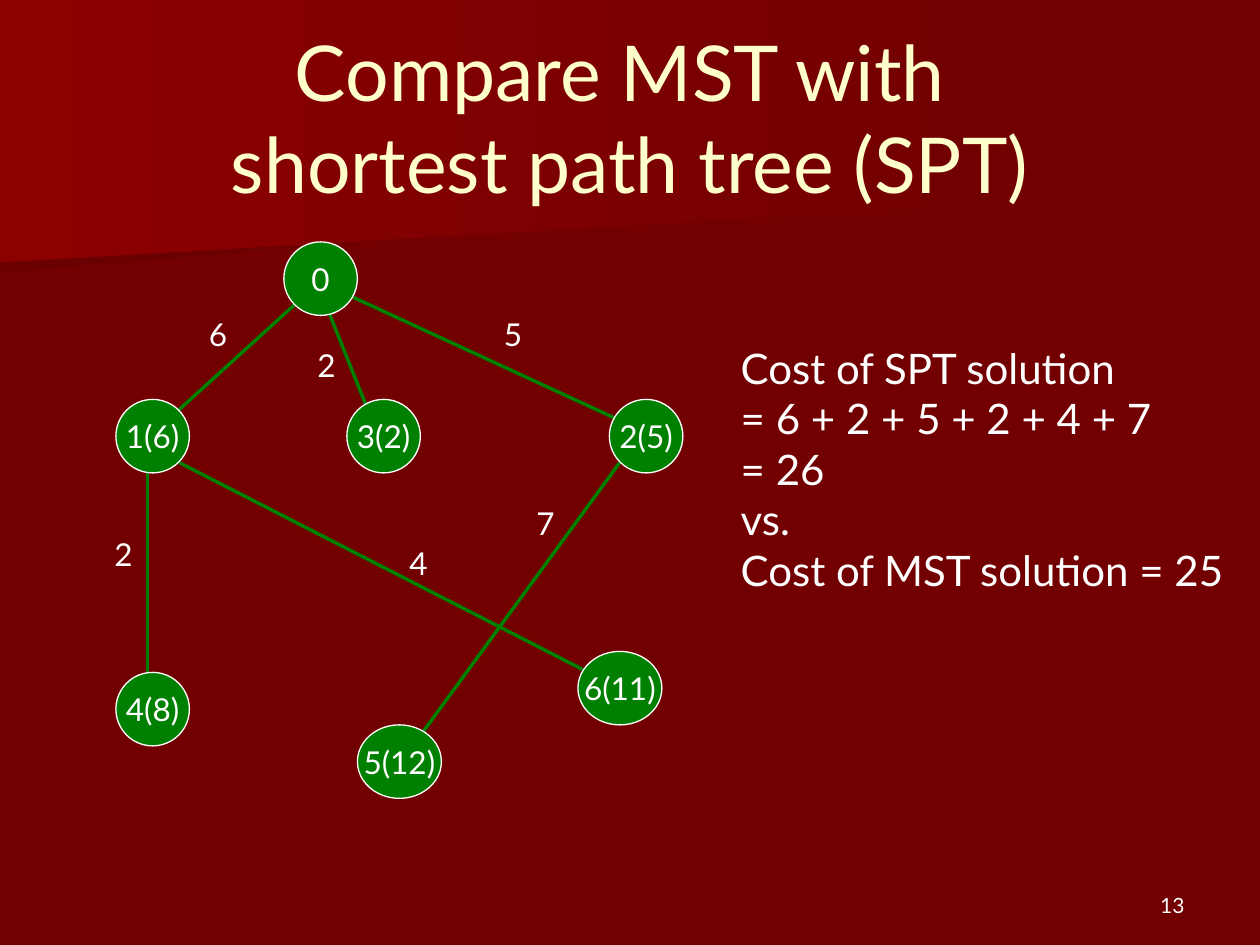
from dataclasses import dataclass
from typing import NamedTuple

from lxml.etree import SubElement
from pptx import Presentation
from pptx.dml.color import RGBColor
from pptx.enum.shapes import MSO_CONNECTOR as Connector, MSO_SHAPE as Shape
from pptx.enum.text import MSO_ANCHOR as Anchor, MSO_AUTO_SIZE as AutoSize, PP_ALIGN as Align
from pptx.oxml.ns import qn
from pptx.util import Inches, Pt


@dataclass(frozen=True)
class Theme:
    """Colours, font and type sizes of the deck."""
    ground: str = "720000"
    glow: str = "8C0000"
    shade: str = "6A0000"
    heading: str = "FFFFCC"
    ink: str = "FFFFFF"
    green: str = "008000"
    font: str = "Lato"
    title: int = 44
    body: int = 24
    label: int = 18
    number: int = 12


class Box(NamedTuple):
    """A region in inches."""
    left: float
    top: float
    width: float
    height: float

    def lengths(self):
        """Return the four sides as lengths."""
        return [Inches(side) for side in self]


class Edge(NamedTuple):
    """A tree edge in grid steps, with its cost and label corner in inches."""
    start: tuple
    end: tuple
    cost: str
    label: tuple


THEME = Theme()
GRID = 1 / 12
NODE_HEIGHT = 7
NODES = [
    ("0", 16, 0, 7), ("1(6)", 0, 15, 7), ("3(2)", 22, 15, 7), ("2(5)", 47, 15, 7),
    ("4(8)", 0, 41, 7), ("5(12)", 23, 46, 8), ("6(11)", 44, 39, 8),
]
EDGES = [
    Edge((17, 6), (6, 16), "6", (0.64, 0.53)),
    Edge((20, 6), (24, 16), "2", (1.5, 0.78)),
    Edge((22, 5), (48, 17), "5", (2.98, 0.53)),
    Edge((3, 22), (3, 41), "2", (-0.11, 2.28)),
    Edge((6, 21), (45, 41), "4", (2.23, 2.35)),
    Edge((48, 21), (29, 47), "7", (3.24, 2.03)),
]
COSTS = [
    ["Cost of SPT solution", "= 6 + 2 + 5 + 2 + 4 + 7"],
    ["= 26"], ["vs."], ["Cost of MST solution = 25"],
]


def rgb(code):
    """Turn a hex code into a colour."""
    return RGBColor.from_string(code)


def write(frame, paragraphs, size, color=THEME.ink, align=Align.LEFT):
    """Fill a frame with paragraphs, each a list of lines."""
    for index, lines in enumerate(paragraphs):
        para = frame.add_paragraph() if index else frame.paragraphs[0]
        para.alignment = align
        for row, line in enumerate(lines):
            if row:
                para.add_line_break()
            span = para.add_run()
            span.text = line
            span.font.name = THEME.font
            span.font.size = Pt(size)
            span.font.color.rgb = rgb(color)


def add_note(page, box, paragraphs, size):
    """Place an unwrapped text box that fits its text."""
    frame = page.shapes.add_textbox(*box.lengths()).text_frame
    frame.word_wrap = False
    frame.auto_size = AutoSize.SHAPE_TO_FIT_TEXT
    write(frame, paragraphs, size)


def add_band(page, box, corners, far_color):
    """Draw a background band that fades towards the left."""
    points = [(Inches(box.left + x), Inches(box.top + y)) for x, y in corners]
    builder = page.shapes.build_freeform(*points[0])
    builder.add_line_segments(points[1:], close=True)
    band = builder.convert_to_shape()
    band.shadow.inherit = False
    band.line.fill.background()
    band.fill.gradient()
    band.fill.gradient_angle = 180
    for stop, color in zip(band.fill.gradient_stops, (THEME.ground, far_color)):
        stop.color.rgb = rgb(color)


def add_background(page):
    """Colour the page and draw its two bands."""
    page.background.fill.solid()
    page.background.fill.fore_color.rgb = rgb(THEME.ground)
    lower = Box(0, 1.01, 7.79, 1.15)
    add_band(page, lower, [(0, 0), (lower.width, 0), (7.78, 0.52), (0, lower.height)], THEME.shade)
    upper = Box(0, 0, 7.92, 2.08)
    add_band(page, upper, [(0, 0), (upper.width, 0), (upper.width, 1.62), (0, upper.height)], THEME.glow)


def add_title(page, box, lines):
    """Format the title placeholder and bring it in front of the bands."""
    title = page.shapes.title
    title.left, title.top, title.width, title.height = box.lengths()
    title.element.getparent().append(title.element)
    frame = title.text_frame
    frame.auto_size = AutoSize.NONE
    frame.vertical_anchor = Anchor.MIDDLE
    write(frame, [lines], THEME.title, THEME.heading, Align.CENTER)


def add_edge(page, box, edge):
    """Draw one edge and its cost."""
    ends = [Inches(origin + step * GRID)
            for point in (edge.start, edge.end)
            for origin, step in zip((box.left, box.top), point)]
    line = page.shapes.add_connector(Connector.STRAIGHT, *ends)
    line.line.color.rgb = rgb(THEME.green)
    line.line.width = Pt(2)
    SubElement(line.element.spPr, qn("a:effectLst"))
    x, y = edge.label
    add_note(page, Box(box.left + x, box.top + y, 0.34, 0.4), [[edge.cost]], THEME.label)


def add_node(page, box, name):
    """Draw one named node."""
    node = page.shapes.add_shape(Shape.OVAL, *box.lengths())
    node.shadow.inherit = False
    node.fill.solid()
    node.fill.fore_color.rgb = rgb(THEME.green)
    node.line.color.rgb = rgb(THEME.ink)
    node.line.width = Pt(0.75)
    frame = node.text_frame
    frame.word_wrap = False
    frame.vertical_anchor = Anchor.MIDDLE
    write(frame, [[name]], THEME.label, align=Align.CENTER)


def add_tree(page, box):
    """Draw the shortest path tree on its grid."""
    for edge in EDGES:
        add_edge(page, box, edge)
    for name, column, row, width in NODES:
        place = Box(box.left + column * GRID, box.top + row * GRID, width * GRID, NODE_HEIGHT * GRID)
        add_node(page, place, name)


def add_number(page, box, number):
    """Place the page number in the lower right corner."""
    frame = page.shapes.add_textbox(*box.lengths()).text_frame
    frame.word_wrap = True
    frame.vertical_anchor = Anchor.BOTTOM
    write(frame, [[number]], THEME.number, align=Align.RIGHT)


def main():
    """Build and save the deck."""
    deck = Presentation()
    deck.slide_width, deck.slide_height = Inches(10), Inches(7.5)
    page = deck.slides.add_slide(deck.slide_layouts[5])
    add_background(page)
    add_title(page, Box(0.5, 0.3, 9, 1.25), ["Compare MST with ", "shortest path tree (SPT)"])
    add_tree(page, Box(0.92, 1.92, 4.5, 4.42))
    add_note(page, Box(5.78, 2.67, 4.15, 2.1), COSTS, THEME.body)
    add_number(page, Box(7.17, 6.83, 2.33, 0.5), "13")
    deck.save("out.pptx")


if __name__ == "__main__":
    main()
